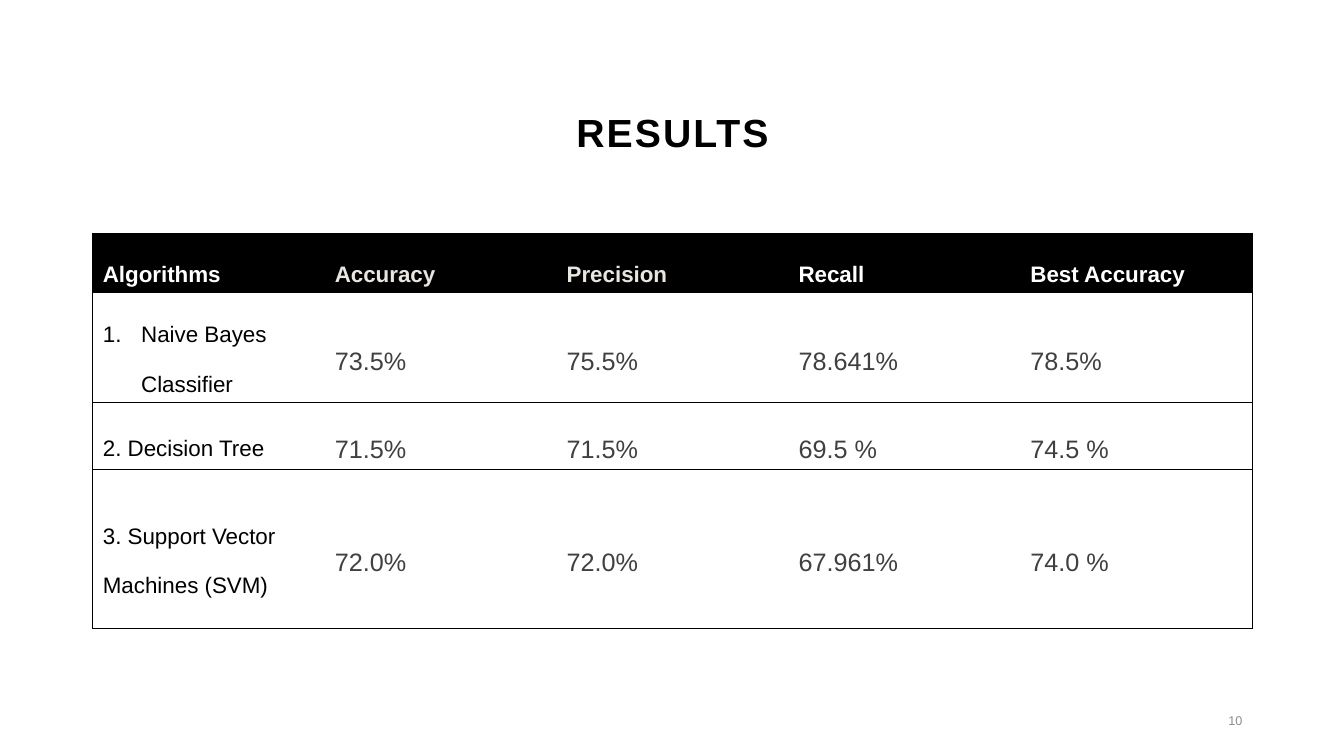
from lxml import etree
from pptx import Presentation
from pptx import util as u
from pptx.dml.color import RGBColor
from pptx.enum import text
from pptx.oxml.ns import qn

BLACK = RGBColor(0x00, 0x00, 0x00)
WHITE = RGBColor(0xFF, 0xFF, 0xFF)
CREAM = RGBColor(0xE9, 0xE6, 0xDF)
CHARCOAL = RGBColor(0x40, 0x40, 0x40)
GREY = RGBColor(0x8C, 0x8C, 0x8C)

WIDTH, HEIGHT = 13.33, 7.5
MARGIN, CONTENT = 0.92, 11.5
ROW_HEIGHTS = (0.59, 1.09, 0.66, 1.58)

HEADINGS = (("Algorithms", WHITE), ("Accuracy", CREAM), ("Precision", CREAM),
            ("Recall", WHITE), ("Best Accuracy", WHITE))
RESULTS = (
    ("Naive Bayes Classifier", "73.5%", "75.5%", "78.641%", "78.5%"),
    ("2. Decision Tree", "71.5%", "71.5%", "69.5 %", "74.5 %"),
    ("3. Support Vector Machines (SVM)", "72.0%", "72.0%", "67.961%", "74.0 %"),
)


def write(frame, words, size=16, color=BLACK, bold=False, align=text.PP_ALIGN.LEFT,
          anchor=text.MSO_ANCHOR.MIDDLE, leading=1.0, tracking=0):
    frame.word_wrap = True
    frame.vertical_anchor = anchor
    paragraph = frame.paragraphs[0]
    paragraph.alignment, paragraph.line_spacing = align, leading
    run = paragraph.add_run()
    run.text = words
    font = run.font
    font.name, font.size, font.bold = "Arial", u.Pt(size), bold
    font.color.rgb = color
    if tracking:
        run._r.get_or_add_rPr().set("spc", str(round(tracking * 100)))
    return paragraph


class ResultsSlide:
    """Builds one title-only slide from shares of its width and height."""

    def __init__(self, deck):
        self.deck = deck
        self.slide = deck.slides.add_slide(deck.slide_layouts[5])

    def box(self, left, top, width, height):
        across, down = self.deck.slide_width, self.deck.slide_height
        return (round(left * across), round(top * down),
                round(width * across), round(height * down))

    def title(self, words, *share):
        heading = self.slide.shapes.title
        heading.left, heading.top, heading.width, heading.height = self.box(*share)
        write(heading.text_frame, words, size=28, bold=True, leading=0.9, tracking=1.5,
              align=text.PP_ALIGN.CENTER, anchor=text.MSO_ANCHOR.BOTTOM)

    def page_number(self, words, *share):
        footer = self.slide.shapes.add_textbox(*self.box(*share))
        write(footer.text_frame, words, size=9, color=GREY, align=text.PP_ALIGN.RIGHT)

    def border(self, cell, side, visible):
        line = etree.SubElement(cell._tc.get_or_add_tcPr(), qn(f"a:ln{side}"),
                                w=str(u.Pt(0.5)))
        if visible:
            paint = etree.SubElement(line, qn("a:solidFill"))
            etree.SubElement(paint, qn("a:srgbClr"), val=str(BLACK))
        else:
            etree.SubElement(line, qn("a:noFill"))

    def cell(self, table, row, column, words, **style):
        cell = table.cell(row, column)
        edges = {"L": column == 0, "R": column == len(HEADINGS) - 1, "T": True, "B": True}
        for side, visible in edges.items():
            self.border(cell, side, visible)
        if row == 0:
            cell.fill.solid()
            cell.fill.fore_color.rgb = BLACK
        else:
            cell.fill.background()
        cell.vertical_anchor = text.MSO_ANCHOR.MIDDLE
        return write(cell.text_frame, words, leading=2.0, **style)

    def number(self, paragraph):
        properties = paragraph._p.get_or_add_pPr()
        indent = u.Inches(0.38)
        properties.set("marL", str(indent))
        properties.set("indent", str(-indent))
        color = etree.SubElement(properties, qn("a:buClr"))
        etree.SubElement(color, qn("a:srgbClr"), val=str(BLACK))
        etree.SubElement(properties, qn("a:buAutoNum"), type="arabicPeriod")

    def table(self, headings, results, *share):
        table = self.slide.shapes.add_table(
            len(results) + 1, len(headings), *self.box(*share)).table
        table.first_row = table.horz_banding = False
        for row, height in zip(table.rows, ROW_HEIGHTS):
            row.height = u.Inches(height)
        for column, (heading, color) in enumerate(headings):
            self.cell(table, 0, column, heading, color=color, bold=True)
        for row, (algorithm, *scores) in enumerate(results, 1):
            name = self.cell(table, row, 0, algorithm)
            if row == 1:
                self.number(name)
            for column, score in enumerate(scores, 1):
                self.cell(table, row, column, score, size=18, color=CHARCOAL)


def main():
    deck = Presentation()
    deck.slide_width, deck.slide_height = u.Inches(WIDTH), u.Inches(HEIGHT)
    left, width = MARGIN / WIDTH, CONTENT / WIDTH
    results = ResultsSlide(deck)
    results.title("RESULTS", left, 0.02, width, 1.45 / HEIGHT)
    results.table(HEADINGS, RESULTS, left, 2.31 / HEIGHT, width, sum(ROW_HEIGHTS) / HEIGHT)
    results.page_number("10", left + width - 3 / WIDTH, 6.95 / HEIGHT, 3 / WIDTH, 0.4 / HEIGHT)
    deck.save("out.pptx")


if __name__ == "__main__":
    main()
